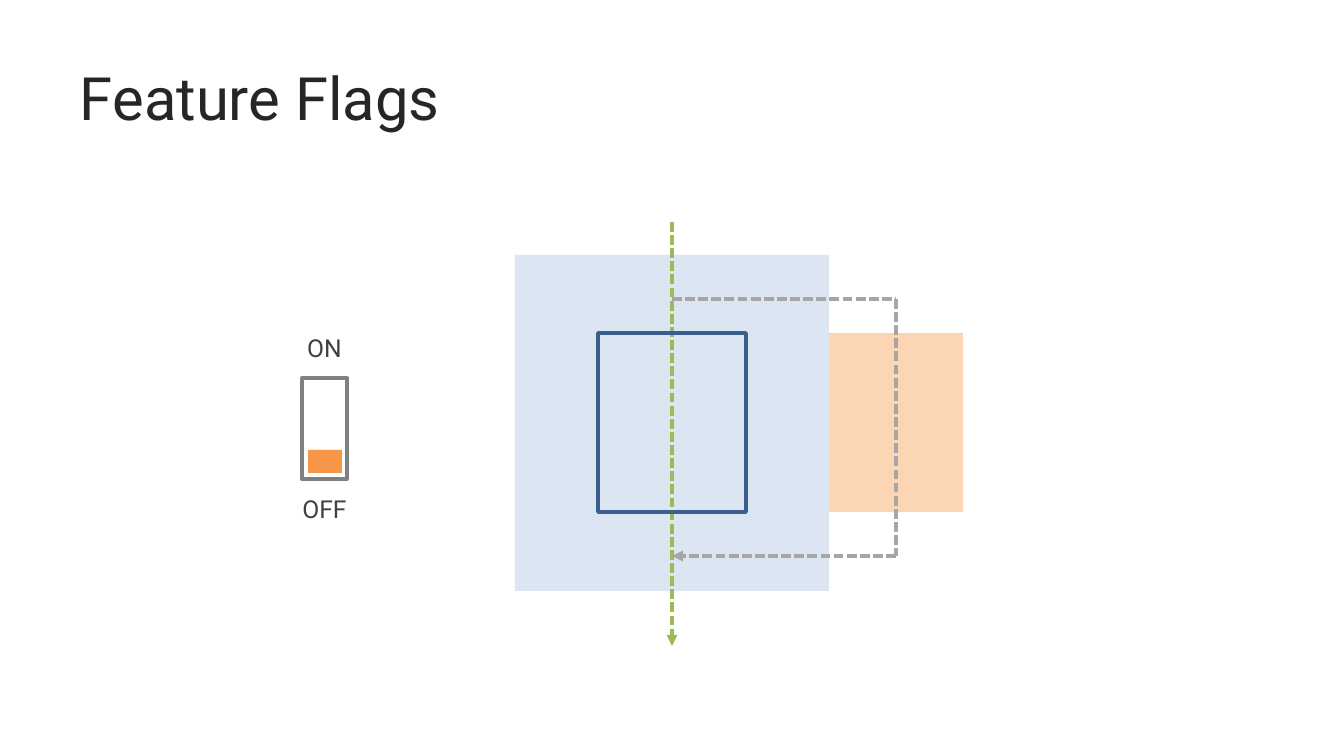
import pptx
import pptx.util
import pptx.dml.color
import pptx.enum.dml
import pptx.enum.shapes
import pptx.enum.text
import pptx.oxml.ns
from lxml import etree

SCALE = 914400 / 134.4  # EMU per px
COLORS = {
    "white": "FFFFFF", "title": "262626", "label": "404040",
    "pale": "DCE6F2", "peach": "FCD5B5", "navy": "3A5F8C",
    "green": "9BBB59", "grey": "A6A6A6", "frame": "808080",
    "knob": "F79646",
}


def emu(px):
    return pptx.util.Emu(round(px * SCALE))


def color(name):
    return pptx.dml.color.RGBColor.from_string(COLORS[name])


class Deck:
    font = "Roboto"

    def __init__(self, wide, high):
        self.prs = pptx.Presentation()
        self.prs.slide_width = emu(wide)
        self.prs.slide_height = emu(high)
        self.slide = self.prs.slides.add_slide(self.prs.slide_layouts[6])

    def rect(self, x, y, w, h, fill=None, line=None):
        kind = pptx.enum.shapes.MSO_SHAPE.RECTANGLE
        shape = self.slide.shapes.add_shape(kind, emu(x), emu(y), emu(w), emu(h))
        shape.shadow.inherit = False
        if fill:
            shape.fill.solid()
            shape.fill.fore_color.rgb = color(fill)
        else:
            shape.fill.background()
        if line:
            shape.line.color.rgb = color(line)
            shape.line.width = pptx.util.Pt(2)
        else:
            shape.line.fill.background()
        return shape

    def text(self, x, y, w, h, words, size, tint, center=False, inset=0):
        box = self.slide.shapes.add_textbox(emu(x), emu(y), emu(w), emu(h))
        frame = box.text_frame
        frame.word_wrap = True
        frame.margin_left = frame.margin_right = emu(inset)
        frame.margin_top = frame.margin_bottom = 0
        align = pptx.enum.text.PP_ALIGN
        anchor = pptx.enum.text.MSO_ANCHOR
        frame.vertical_anchor = anchor.TOP if center else anchor.MIDDLE
        para = frame.paragraphs[0]
        para.alignment = align.CENTER if center else align.LEFT
        run = para.add_run()
        run.text = words
        run.font.name = self.font
        run.font.size = pptx.util.Pt(size)
        run.font.color.rgb = color(tint)

    def dash(self, start, end, tint, arrow=False):
        kind = pptx.enum.shapes.MSO_CONNECTOR.STRAIGHT
        link = self.slide.shapes.add_connector(kind, *map(emu, start + end))
        link.line.color.rgb = color(tint)
        link.line.width = pptx.util.Pt(1.75)
        link.line.dash_style = pptx.enum.dml.MSO_LINE.SQUARE_DOT
        props = link._element.spPr
        if arrow:
            tail = pptx.oxml.ns.qn("a:tailEnd")
            etree.SubElement(link.line._get_or_add_ln(), tail, type="triangle")
        etree.SubElement(props, pptx.oxml.ns.qn("a:effectLst"))


def main():
    deck = Deck(1344, 756)

    # Title
    deck.text(67, 34, 1210, 126, "Feature Flags", 32, "title", inset=13)

    # Host block with the main flow, and the two feature variants
    mid = 672
    deck.rect(515, 255, 314, 336, fill="pale")
    deck.dash((mid, 222), (mid, 646), "green", arrow=True)
    deck.rect(829, 333, 134, 179, fill="peach")
    deck.rect(598, 333, 148, 179, line="navy")

    # Switch
    deck.rect(302, 378, 45, 101, fill="white", line="frame")
    for words, top in (("ON", 333), ("OFF", 494)):
        deck.text(251, top, 147, 30, words, 13.2, "label", center=True)
    deck.rect(308, 450, 34, 23, fill="knob")

    # Detour through the outer variant
    side, top, base = 896, 299, 556
    points = [(mid, top), (side, top), (side, base), (mid, base)]
    for start, end in zip(points, points[1:]):
        deck.dash(start, end, "grey", arrow=end == points[-1])

    deck.prs.save("out.pptx")


if __name__ == "__main__":
    main()
